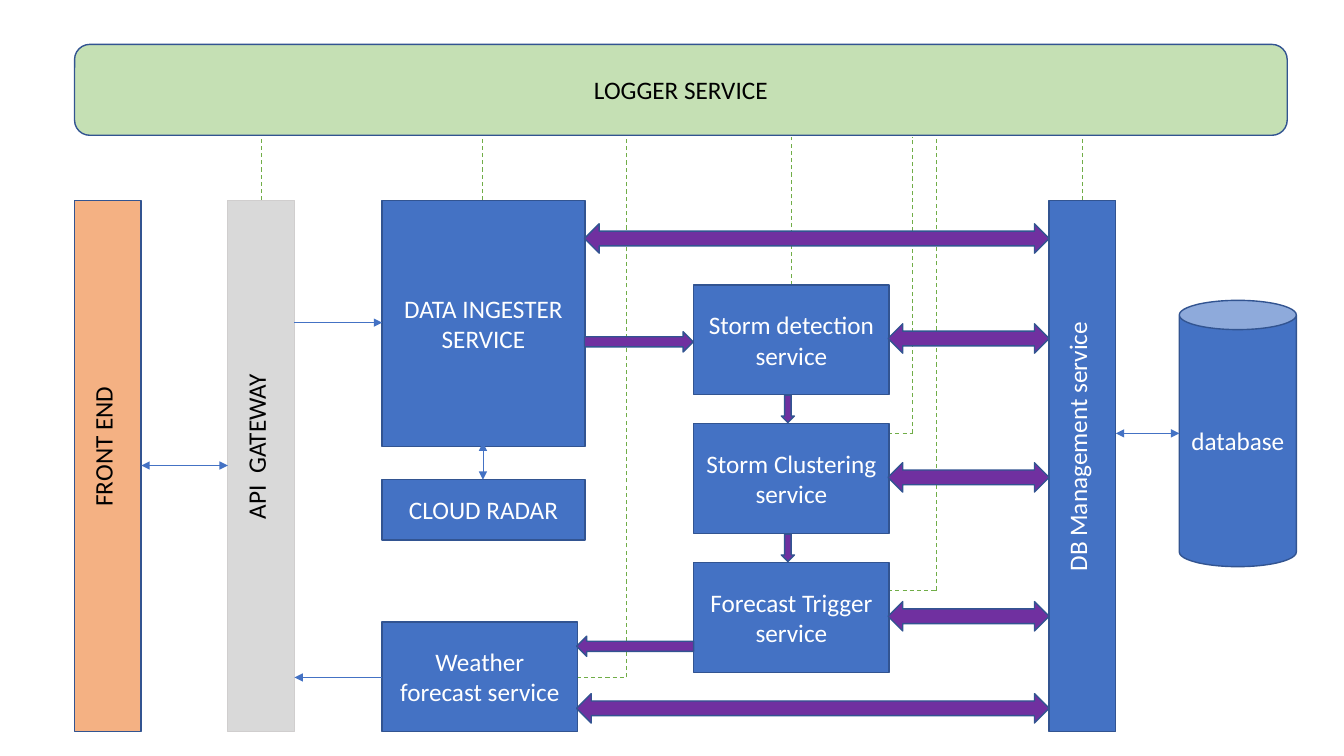
"""Draw the service map of a storm forecast system."""
from typing import NamedTuple

import lxml.etree
import pptx
import pptx.dml.color
import pptx.enum.dml
import pptx.enum.shapes
import pptx.enum.text
import pptx.oxml.ns
import pptx.util

Cm = pptx.util.Cm
Color = pptx.dml.color.RGBColor
Kind = pptx.enum.shapes.MSO_SHAPE

BLUE = Color(0x44, 0x72, 0xC4)
NAVY = Color(0x32, 0x54, 0x91)
PURPLE = Color(0x70, 0x30, 0xA0)
GREEN = Color(0x70, 0xAD, 0x47)
MINT = Color(0xC5, 0xE0, 0xB4)
ORANGE = Color(0xF4, 0xB1, 0x83)
GREY = Color(0xD9, 0xD9, 0xD9)
SILVER = Color(0xD0, 0xCE, 0xCE)
BLACK = Color(0, 0, 0)
WHITE = Color(0xFF, 0xFF, 0xFF)


class Box(NamedTuple):
    """A filled shape with its place in centimetres."""
    left: float
    top: float
    width: float
    height: float
    text: str = ""
    kind: Kind = Kind.RECTANGLE
    fill: Color = BLUE
    edge: Color = NAVY
    ink: Color = WHITE
    turn: int = 0


class Link(NamedTuple):
    """A straight line between two points in centimetres."""
    x1: float
    y1: float
    x2: float
    y2: float
    ends: tuple = ()
    color: Color = BLUE
    width: float = 0.5
    dashed: bool = False


def write(frame, text: str, *, ink: Color = WHITE, size: int = 18,
          anchor=pptx.enum.text.MSO_ANCHOR.MIDDLE) -> None:
    """Put centred text into a frame."""
    frame.word_wrap = True
    frame.vertical_anchor = anchor
    par = frame.paragraphs[0]
    par.alignment = pptx.enum.text.PP_ALIGN.CENTER
    run = par.add_run()
    run.text = text
    run.font.name = "Calibri"
    run.font.size = pptx.util.Pt(size)
    run.font.color.rgb = ink


def draw_box(shapes, box: Box) -> None:
    """Draw one filled shape."""
    shape = shapes.add_shape(box.kind, *map(Cm, box[:4]))
    shape.shadow.inherit = False
    shape.fill.solid()
    shape.fill.fore_color.rgb = box.fill
    shape.line.color.rgb = box.edge
    shape.line.width = pptx.util.Pt(1)
    shape.rotation = box.turn
    if box.text:
        write(shape.text_frame, box.text, ink=box.ink)


def draw_bar(shapes, bar: Box) -> None:
    """Draw a tall bar with a label that reads upwards."""
    draw_box(shapes, bar._replace(text=""))
    label = shapes.add_textbox(Cm(bar.left + 0.2), Cm(6.38), Cm(1.27), Cm(9.75))
    write(label.text_frame, bar.text, ink=bar.ink,
          anchor=pptx.enum.text.MSO_ANCHOR.TOP)
    label.text_frame._txBody.bodyPr.set("vert", "vert270")


def draw_link(shapes, link: Link) -> None:
    """Draw one line with its arrowheads."""
    line = shapes.add_connector(pptx.enum.shapes.MSO_CONNECTOR.STRAIGHT,
                                *map(Cm, link[:4]))
    line.line.color.rgb = link.color
    line.line.width = pptx.util.Pt(link.width)
    if link.dashed:
        line.line.dash_style = pptx.enum.dml.MSO_LINE.DASH
    name = pptx.oxml.ns.qn
    for end in link.ends:
        lxml.etree.SubElement(line.line._get_or_add_ln(), name(f"a:{end}"),
                              type="triangle")
    lxml.etree.SubElement(line._element.spPr, name("a:effectLst"))


def dash(x1: float, y1: float, x2: float, y2: float) -> Link:
    """Make a dashed line to the logger."""
    return Link(x1, y1, x2, y2, color=GREEN, width=0.75, dashed=True)


def arrow(left: float, top: float, width: float, height: float = 0.51,
          kind: Kind = Kind.RIGHT_ARROW, turn: int = 0) -> Box:
    """Make a purple block arrow."""
    return Box(left, top, width, height, kind=kind, fill=PURPLE, turn=turn)


def both(left: float, top: float) -> Box:
    """Make a two-way arrow that ends at the database service."""
    return arrow(left, top, DB_LEFT - left, 0.74, Kind.LEFT_RIGHT_ARROW)


TOP, TALL, THIN = 5.05, 13.39, 1.68
LOG_END = 3.45
DB_LEFT = 26.44
STORM_LEFT, STORM_END = 17.48, 22.38
WIDE, HIGH = 4.93, 2.77
TWO_WAY = ("headEnd", "tailEnd")
ONE_WAY = ("tailEnd",)

STORMS = ["Storm detection service", "Storm Clustering service",
          "Forecast Trigger service"]
ROWS = [7.18 + 3.5 * row for row in range(len(STORMS))]

BARS = [
    Box(1.88, TOP, THIN, TALL, "FRONT END", fill=ORANGE, ink=BLACK),
    Box(5.74, TOP, THIN, TALL, "API  GATEWAY", fill=GREY, edge=SILVER, ink=BLACK),
    Box(DB_LEFT, TOP, THIN, TALL, "DB Management service"),
]
BOXES = [
    Box(1.88, 1.12, 30.56, 2.29, "LOGGER SERVICE", Kind.ROUNDED_RECTANGLE,
        MINT, ink=BLACK),
    Box(9.63, TOP, 5.11, 6.2, "DATA INGESTER SERVICE"),
    Box(9.63, 12.09, 5.11, 1.52, "CLOUD RADAR"),
    Box(9.63, 15.67, WIDE, HIGH, "Weather forecast service"),
    Box(29.72, 7.57, 2.95, 6.71, "database", Kind.CAN),
] + [Box(STORM_LEFT, row, WIDE, HIGH, text) for row, text in zip(ROWS, STORMS)]

ARROWS = [both(STORM_END, row + 0.98) for row in ROWS] + [
    both(14.53, 17.48),
    both(14.73, 5.64),
    arrow(14.73, 8.36, 2.74),
    arrow(14.53, 16.03, 2.95, turn=180),
] + [arrow(19.51, row + 2.96, 0.69, 0.33, turn=90) for row in ROWS[:-1]]

DROPS = [(6.6, TOP), (12.17, TOP), (19.94, ROWS[0]), (27.28, TOP)]
BENDS = [(14.53, 15.8, 17.07), (STORM_END, 23.6, 14.88), (STORM_END, 23, 10.92)]
DASHES = [dash(x, y, x, LOG_END) for x, y in DROPS]
for start, x, y in BENDS:
    DASHES += [dash(start, y, x, y), dash(x, y, x, LOG_END)]

LINKS = [
    Link(28.12, 10.92, 29.72, 10.92, TWO_WAY),
    Link(12.17, 11.15, 12.17, 12.09, TWO_WAY),
    Link(3.56, 11.73, 5.74, 11.73, TWO_WAY),
    Link(9.63, 17.07, 7.42, 17.07, ONE_WAY),
    Link(7.42, 8.13, 9.63, 8.13, ONE_WAY),
]


def main() -> None:
    """Build the slide and save it."""
    deck = pptx.Presentation()
    deck.slide_width, deck.slide_height = Cm(33.87), Cm(19.05)
    shapes = deck.slides.add_slide(deck.slide_layouts[6]).shapes
    for line in DASHES:
        draw_link(shapes, line)
    for bar in BARS:
        draw_bar(shapes, bar)
    for box in BOXES + ARROWS:
        draw_box(shapes, box)
    for link in LINKS:
        draw_link(shapes, link)
    deck.save("out.pptx")


main()
